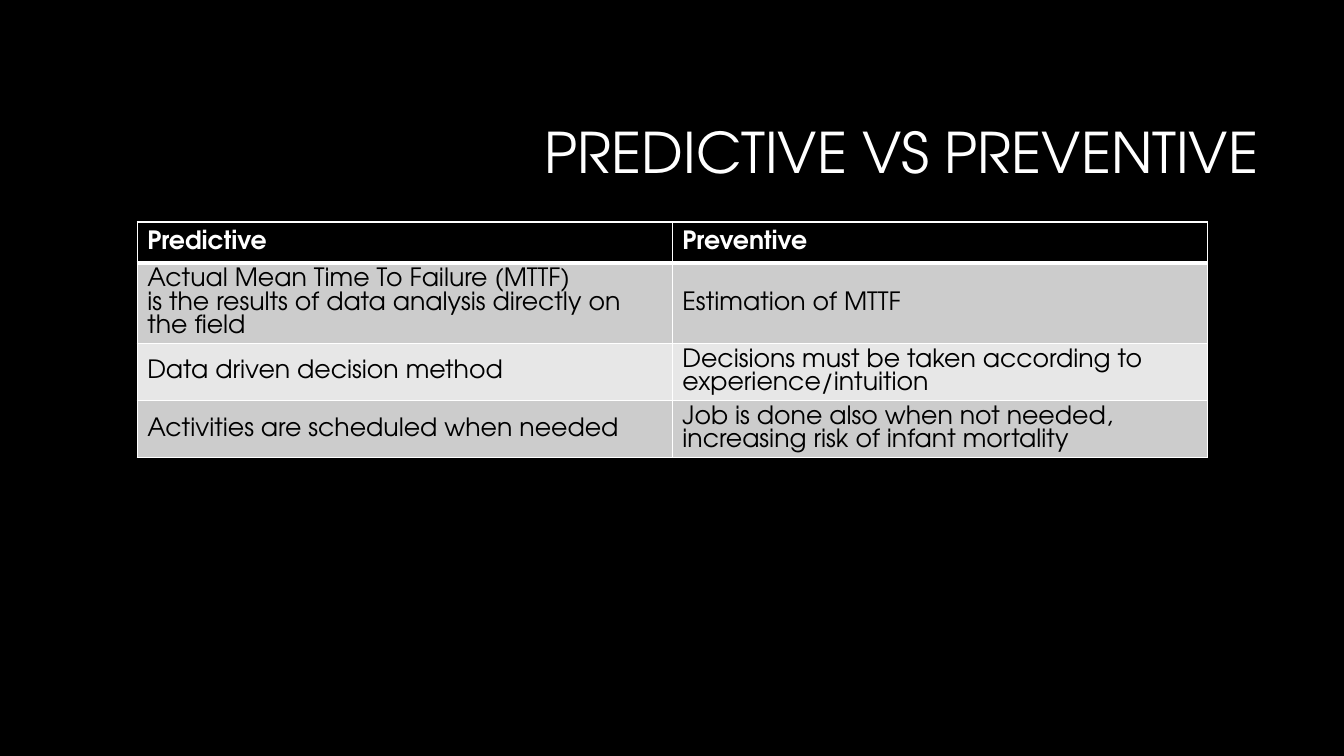
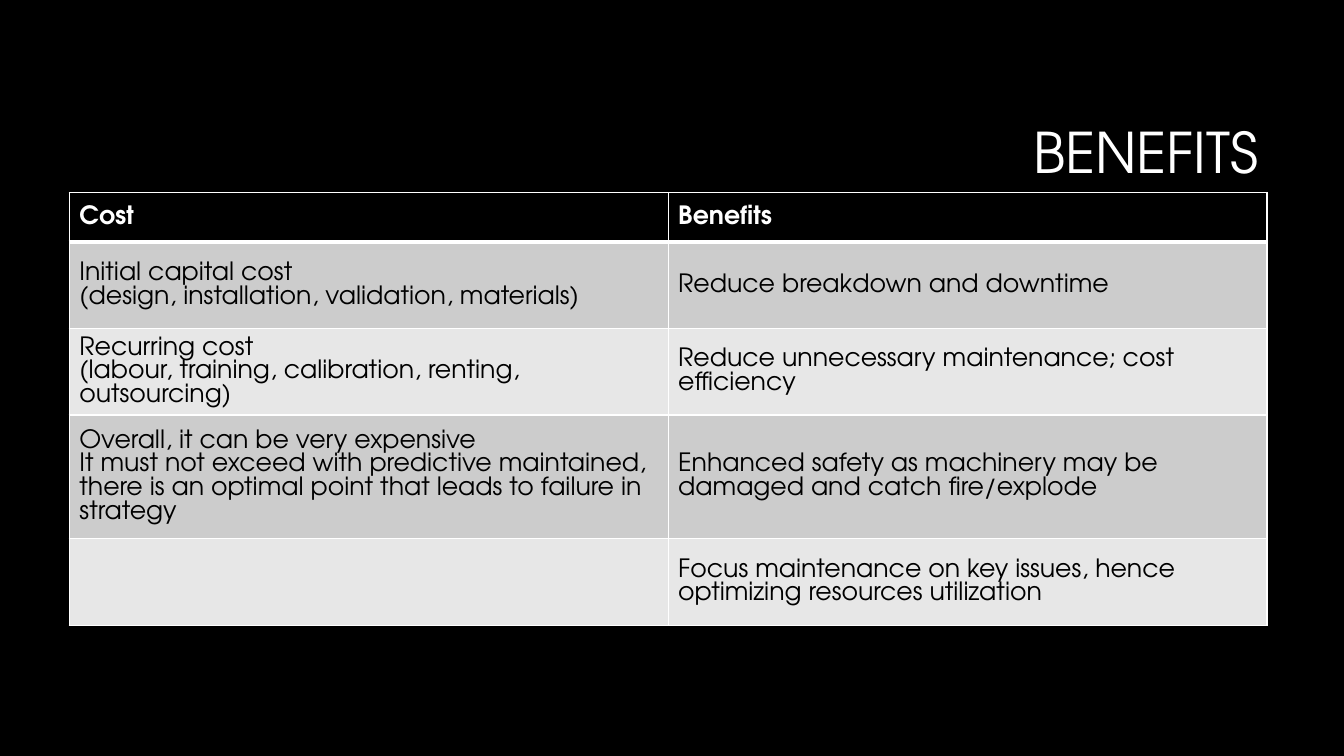
from lxml.etree import SubElement
from pptx import Presentation
from pptx.dml.color import RGBColor
from pptx.enum.text import MSO_ANCHOR, MSO_AUTO_SIZE, PP_ALIGN
from pptx.oxml.ns import qn
from pptx.util import Pt

# Shared style
BLACK = RGBColor(0x00, 0x00, 0x00)
WHITE = RGBColor(0xFF, 0xFF, 0xFF)
DARK = RGBColor(0xCC, 0xCC, 0xCC)
LIGHT = RGBColor(0xE7, 0xE7, 0xE7)
FONT = "TeX Gyre Adventor"
THIN, THICK = 1, 3

# Table content: one pair per row, a list per cell
METHODS = [
    (["Predictive"], ["Preventive"]),
    (["Actual Mean Time To Failure (MTTF)",
      "is the results of data analysis directly on the field"],
     ["Estimation of MTTF"]),
    (["Data driven decision method"],
     ["Decisions must be taken according to experience/intuition"]),
    (["Activities are scheduled when needed"],
     ["Job is done also when not needed, increasing risk of infant mortality"]),
]
EFFECTS = [
    (["Cost"], ["Benefits"]),
    (["Initial capital cost", "(design, installation, validation, materials)"],
     ["Reduce breakdown and downtime"]),
    (["Recurring cost",
      "(labour, training, calibration, renting, outsourcing)"],
     ["Reduce unnecessary maintenance; cost efficiency"]),
    (["Overall, it can be very expensive",
      "It must not exceed with predictive maintained, there is an optimal "
      "point that leads to failure in strategy"],
     ["Enhanced safety as machinery may be damaged and catch fire/explode"]),
    ([], ["Focus maintenance on key issues, hence optimizing resources utilization"]),
]


def write(frame, lines, size=18, color=BLACK, bold=False,
          align=PP_ALIGN.LEFT, space=None):
    """Fill a text frame with one paragraph per line."""
    for i, line in enumerate(lines):
        para = frame.paragraphs[0] if i == 0 else frame.add_paragraph()
        para.alignment = align
        para.line_spacing = space
        run = para.add_run()
        run.text = line
        font = run.font
        font.name, font.size, font.bold = FONT, Pt(size), bold
        font.color.rgb = color


def edge(cell, side, width):
    """Draw one white cell border; call before the cell is filled."""
    line = SubElement(cell._tc.get_or_add_tcPr(), qn("a:ln" + side),
                      w=str(Pt(width)))
    fill = SubElement(line, qn("a:solidFill"))
    SubElement(fill, qn("a:srgbClr"), val=str(WHITE))


def add_slide(deck, title):
    """Add a slide with its right-aligned title."""
    slide = deck.slides.add_slide(deck.slide_layouts[5])
    head = slide.shapes.title
    head.left, head.top, head.width, head.height = (
        Pt(228), Pt(60.5), Pt(678), Pt(101.5))
    frame = head.text_frame
    frame.auto_size = MSO_AUTO_SIZE.NONE
    frame.word_wrap = True
    frame.vertical_anchor = MSO_ANCHOR.MIDDLE
    write(frame, [title], size=40, color=WHITE, align=PP_ALIGN.RIGHT, space=0.9)
    return slide


def add_grid(slide, rows, left, top, width, heights):
    """Add a two-column table with a black header and grey bands."""
    grid = slide.shapes.add_table(len(rows), 2, Pt(left), Pt(top), Pt(width),
                                  Pt(sum(heights))).table
    for col in grid.columns:
        col.width = Pt(width / 2)
    for r, (row, height) in enumerate(zip(rows, heights)):
        grid.rows[r].height = Pt(height)
        header = r == 0
        shade = BLACK if header else DARK if r % 2 else LIGHT
        widths = {"L": THIN, "R": THIN,
                  "T": THICK if r == 1 else THIN,
                  "B": THICK if header else THIN}
        for c, lines in enumerate(row):
            cell = grid.cell(r, c)
            for side, weight in widths.items():
                edge(cell, side, weight)
            cell.fill.solid()
            cell.fill.fore_color.rgb = shade
            cell.vertical_anchor = MSO_ANCHOR.MIDDLE
            write(cell.text_frame, lines, bold=header,
                  color=WHITE if header else BLACK)


def main():
    deck = Presentation()
    deck.slide_width, deck.slide_height = Pt(960), Pt(540)
    back = deck.slide_master.background.fill
    back.solid()
    back.fore_color.rgb = BLACK

    # Predictive against preventive
    slide = add_slide(deck, "PREDICTIVE VS PREVENTIVE")
    add_grid(slide, METHODS, 98, 158.5, 764.5, [29.2] * 4)

    # Costs and benefits
    slide = add_slide(deck, "BENEFITS")
    add_grid(slide, EFFECTS, 49.5, 137.5, 855.5, [35.5, 61.7, 61.7, 88.5, 61.7])

    deck.save("out.pptx")


if __name__ == "__main__":
    main()
